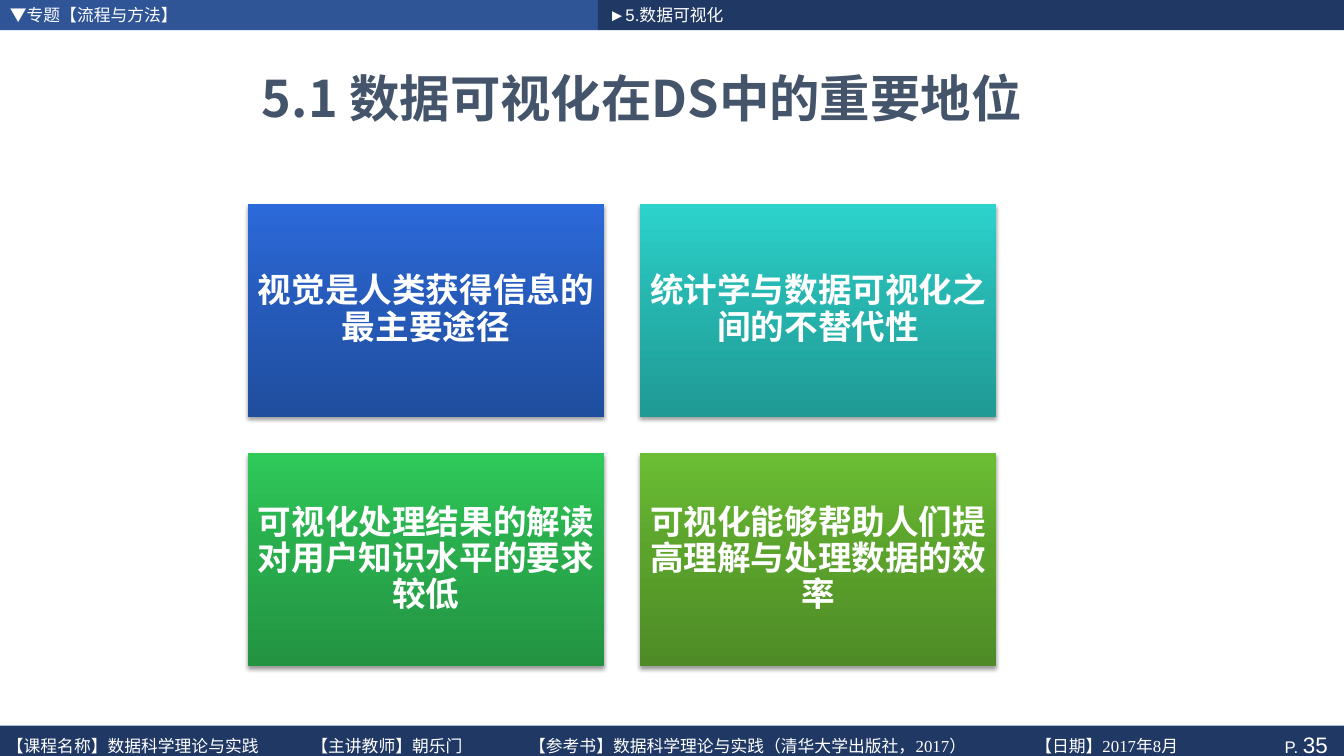
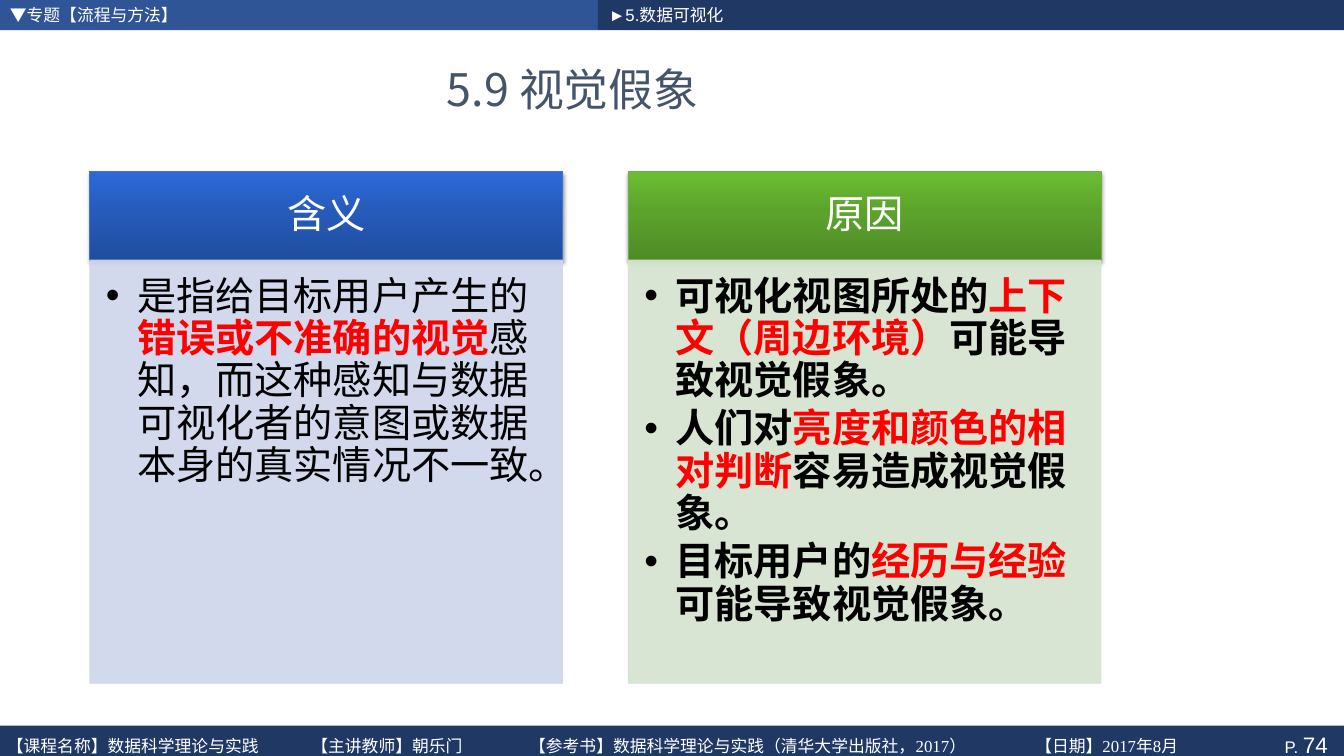
from dataclasses import dataclass

from lxml.etree import SubElement
from pptx import Presentation
from pptx.dml.color import RGBColor
from pptx.enum.shapes import MSO_SHAPE
from pptx.enum.text import MSO_ANCHOR, PP_ALIGN
from pptx.oxml.ns import qn
from pptx.util import Inches, Pt


@dataclass(frozen=True)
class Theme:
    navy: str = "203864"
    blue: str = "2F5597"
    title: str = "44546A"
    white: str = "FFFFFF"
    black: str = "000000"
    red: str = "FF0000"
    sans: str = "Arial"
    serif: str = "Times New Roman"
    chinese: str = "Noto Sans CJK SC"
    small: int = 12
    page_number: int = 16
    card: int = 24
    panel: int = 28


THEME = Theme()
GRADIENT_STOPS = (0, 55, 100)
BLUE = ("204E9F", "265BBB", "2C6ADA")
TEAL = ("209A95", "26B5AF", "2CD3CC")
GREEN = ("239342", "29AD4D", "2FC95A")
OLIVE = ("4E8B26", "5CA32C", "6BBE34")

TOPIC = "▼专题【流程与方法】"
SECTION = "►5.数据可视化"
FOOTER = (
    "【课程名称】数据科学理论与实践",
    "【主讲教师】朝乐门",
    "【参考书】数据科学理论与实践（清华大学出版社，2017）",
    "【日期】2017年8月",
)
FOOTER_TABS = (3.02, 5.18, 10.2)


def add_span(para, text, size, color, bold=False, font=THEME.sans):
    span = para.add_run()
    span.text = text
    span.font.name = font
    span.font.size = Pt(size)
    span.font.bold = bold
    span.font.color.rgb = RGBColor.from_string(color)
    SubElement(span.font._element, qn("a:ea"), typeface=THEME.chinese)


def set_frame(shape, insets=(0.1, 0.05, 0.1, 0.05), anchor=MSO_ANCHOR.TOP):
    """Set wrapping, insets (left, top, right, bottom) and anchor."""
    frame = shape.text_frame
    frame.word_wrap = True
    frame.vertical_anchor = anchor
    (frame.margin_left, frame.margin_top,
     frame.margin_right, frame.margin_bottom) = map(Inches, insets)
    return frame


def add_textbox(page, box, anchor=MSO_ANCHOR.TOP):
    shape = page.shapes.add_textbox(*map(Inches, box))
    return set_frame(shape, anchor=anchor).paragraphs[0]


def add_block(page, box, color):
    shape = page.shapes.add_shape(MSO_SHAPE.RECTANGLE, *map(Inches, box))
    shape.shadow.inherit = False
    shape.fill.solid()
    shape.fill.fore_color.rgb = RGBColor.from_string(color)
    shape.line.fill.background()
    return shape


def set_line(shape, color):
    shape.line.color.rgb = RGBColor.from_string(color)
    shape.line.width = Pt(0.5)


def add_glossy_block(page, box, colors):
    """Add a rectangle with a bottom-to-top gradient and a soft shadow."""
    shape = add_block(page, box, colors[0])
    shape.fill.gradient()
    shape.fill.gradient_angle = 90
    properties = shape._element.spPr
    stops = properties.find(".//" + qn("a:gsLst"))
    for stop in list(stops):
        stops.remove(stop)
    for position, color in zip(GRADIENT_STOPS, colors):
        stop = SubElement(stops, qn("a:gs"), pos=str(position * 1000))
        SubElement(stop, qn("a:srgbClr"), val=color)
    shadow = SubElement(
        properties.find(qn("a:effectLst")), qn("a:outerShdw"),
        blurRad=str(Pt(3.1)), dist=str(Pt(2)), dir="5400000", rotWithShape="0")
    shade = SubElement(shadow, qn("a:srgbClr"), val=THEME.black)
    SubElement(shade, qn("a:alpha"), val="38000")
    return shape


def add_centered_label(shape, text, size, insets, bold=False):
    para = set_frame(shape, insets, MSO_ANCHOR.MIDDLE).paragraphs[0]
    para.alignment = PP_ALIGN.CENTER
    para.line_spacing = 0.9
    add_span(para, text, size, THEME.white, bold)


def add_bands(page, number):
    """Draw the header and footer shared by all slides."""
    add_block(page, (0, 0, 5.93, 0.3), THEME.blue)
    add_block(page, (5.93, 0, 7.4, 0.3), THEME.navy)
    for text, left, width in ((TOPIC, 0, 4.83), (SECTION, 5.94, 2.38)):
        para = add_textbox(page, (left, 0, width, 0.29))
        add_span(para, text, THEME.small, THEME.white)

    band = add_block(page, (0, 7.2, 13.33, 0.37), THEME.navy)
    para = set_frame(band, (0.1, 0.05, 0.16, 0.05)).paragraphs[0]
    para.alignment = PP_ALIGN.RIGHT
    add_span(para, "P. ", THEME.small, THEME.white)
    add_span(para, str(number), THEME.page_number, THEME.white)

    para = add_textbox(page, (-0.03, 7.25, 12.76, 0.28))
    tabs = SubElement(para._p.get_or_add_pPr(), qn("a:tabLst"))
    for position in FOOTER_TABS:
        SubElement(tabs, qn("a:tab"), pos=str(Inches(position)), algn="l")
    add_span(para, "\t".join(FOOTER), THEME.small, THEME.white, font=THEME.serif)


def add_page(deck, number, title, title_box, title_size, bold=False):
    page = deck.slides.add_slide(deck.slide_layouts[6])
    add_bands(page, number)
    para = add_textbox(page, title_box, MSO_ANCHOR.MIDDLE)
    para.alignment = PP_ALIGN.CENTER
    add_span(para, title, title_size, THEME.title, bold, THEME.chinese)
    return page


def add_card_grid(page, box, cards, columns=2, gap=0.36):
    left, top, width, height = box
    rows = -(-len(cards) // columns)
    card_width = (width - gap * (columns - 1)) / columns
    card_height = (height - gap * (rows - 1)) / rows
    for index, (text, colors) in enumerate(cards):
        row, column = divmod(index, columns)
        card_box = (left + column * (card_width + gap),
                    top + row * (card_height + gap), card_width, card_height)
        card = add_glossy_block(page, card_box, colors)
        add_centered_label(card, text, THEME.card, (0.1,) * 4, bold=True)


def add_bullet(para, spans, bold):
    """Fill a bulleted paragraph; spans alternate plain and red text."""
    properties = para._p.get_or_add_pPr()
    properties.set("marL", str(Inches(0.31)))
    properties.set("indent", str(Inches(-0.31)))
    SubElement(properties, qn("a:buFont"), typeface=THEME.sans)
    SubElement(properties, qn("a:buChar"), char="•")
    para.line_spacing = 0.9
    para.space_after = Pt(4.2)
    for index, text in enumerate(spans):
        red = index % 2 == 1
        add_span(para, text, THEME.panel, THEME.red if red else THEME.black,
                 bold or red)


def add_panel(page, box, heading, colors, line, tint, bullets, bold=False):
    left, top, width, height = box
    head_height = 0.88
    head = add_glossy_block(page, (left, top, width, head_height), colors)
    set_line(head, line)
    add_centered_label(head, heading, THEME.panel, (0.22, 0.12, 0.22, 0.12))

    body = add_block(
        page, (left, top + head_height, width, height - head_height), tint)
    set_line(body, tint)
    for color in body._element.spPr.iter(qn("a:srgbClr")):
        SubElement(color, qn("a:alpha"), val="90000")
    frame = set_frame(body, (0.16, 0.16, 0.22, 0.24))
    for index, spans in enumerate(bullets):
        para = frame.add_paragraph() if index else frame.paragraphs[0]
        para.alignment = PP_ALIGN.LEFT
        add_bullet(para, spans, bold)


def build_importance(deck):
    page = add_page(deck, 35, "5.1 数据可视化在DS中的重要地位",
                    (2.42, 0.52, 7.89, 0.9), 36, bold=True)
    add_card_grid(page, (2.46, 2.02, 7.42, 4.59), (
        ("视觉是人类获得信息的最主要途径", BLUE),
        ("统计学与数据可视化之间的不替代性", TEAL),
        ("可视化处理结果的解读对用户知识水平的要求较低", GREEN),
        ("可视化能够帮助人们提高理解与处理数据的效率", OLIVE),
    ))


def build_illusion(deck):
    page = add_page(deck, 74, "5.9 视觉假象", (0.44, 0.43, 10.48, 0.9), 32)
    add_panel(page, (0.89, 1.7, 4.69, 5.08), "含义", BLUE, "4472C4", "CFD5EA", (
        ("是指给目标用户产生的", "错误或不准确的视觉",
         "感知，而这种感知与数据可视化者的意图或数据本身的真实情况不一致。"),
    ))
    add_panel(page, (6.23, 1.7, 4.69, 5.08), "原因", OLIVE, "70AD47", "D5E3CF", (
        ("可视化视图所处的", "上下文（周边环境）", "可能导致视觉假象。"),
        ("人们对", "亮度和颜色的相对判断", "容易造成视觉假象。"),
        ("目标用户的", "经历与经验", "可能导致视觉假象。"),
    ), bold=True)


def main():
    deck = Presentation()
    deck.slide_width, deck.slide_height = Inches(13.33), Inches(7.5)
    build_importance(deck)
    build_illusion(deck)
    deck.save("out.pptx")


if __name__ == "__main__":
    main()
